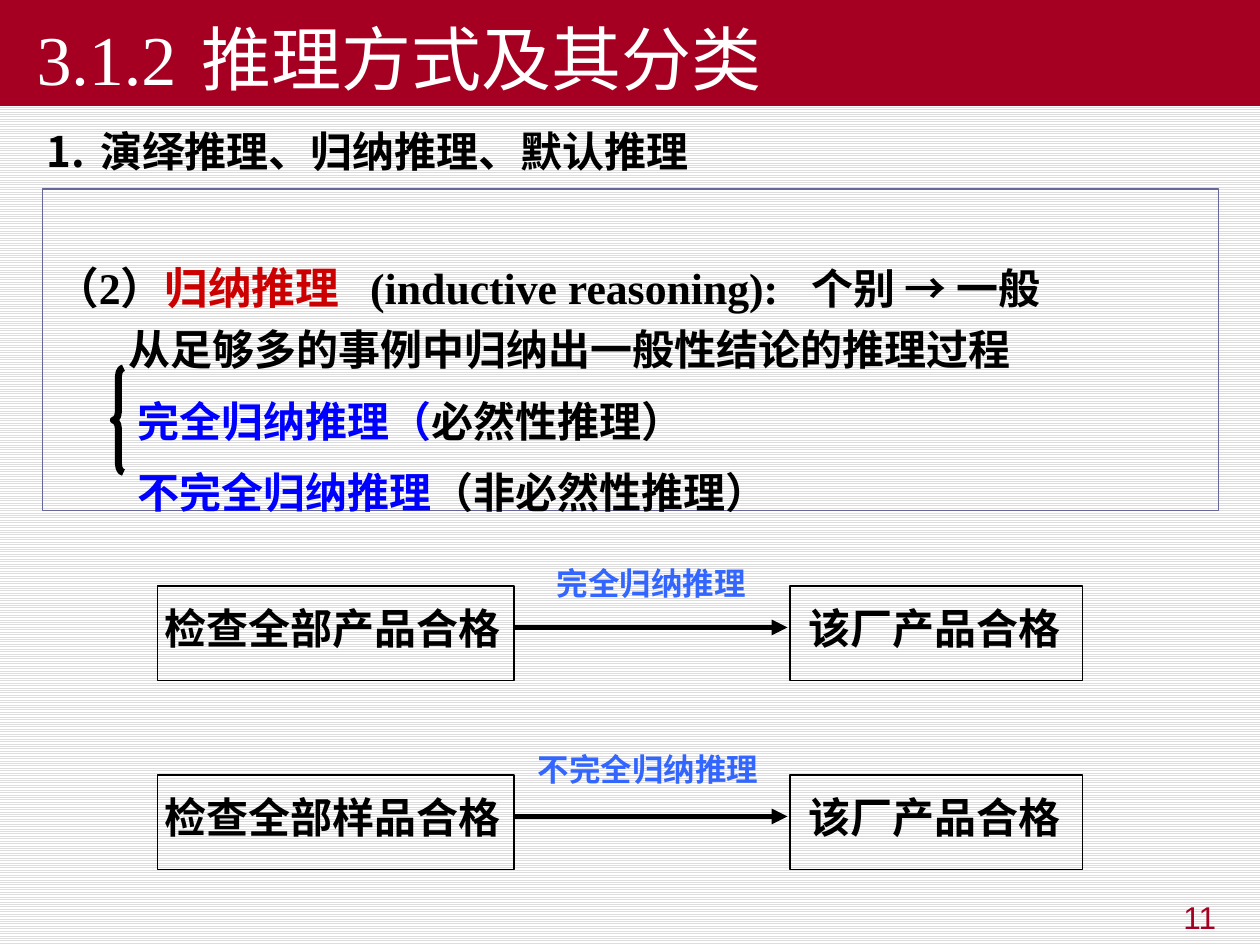
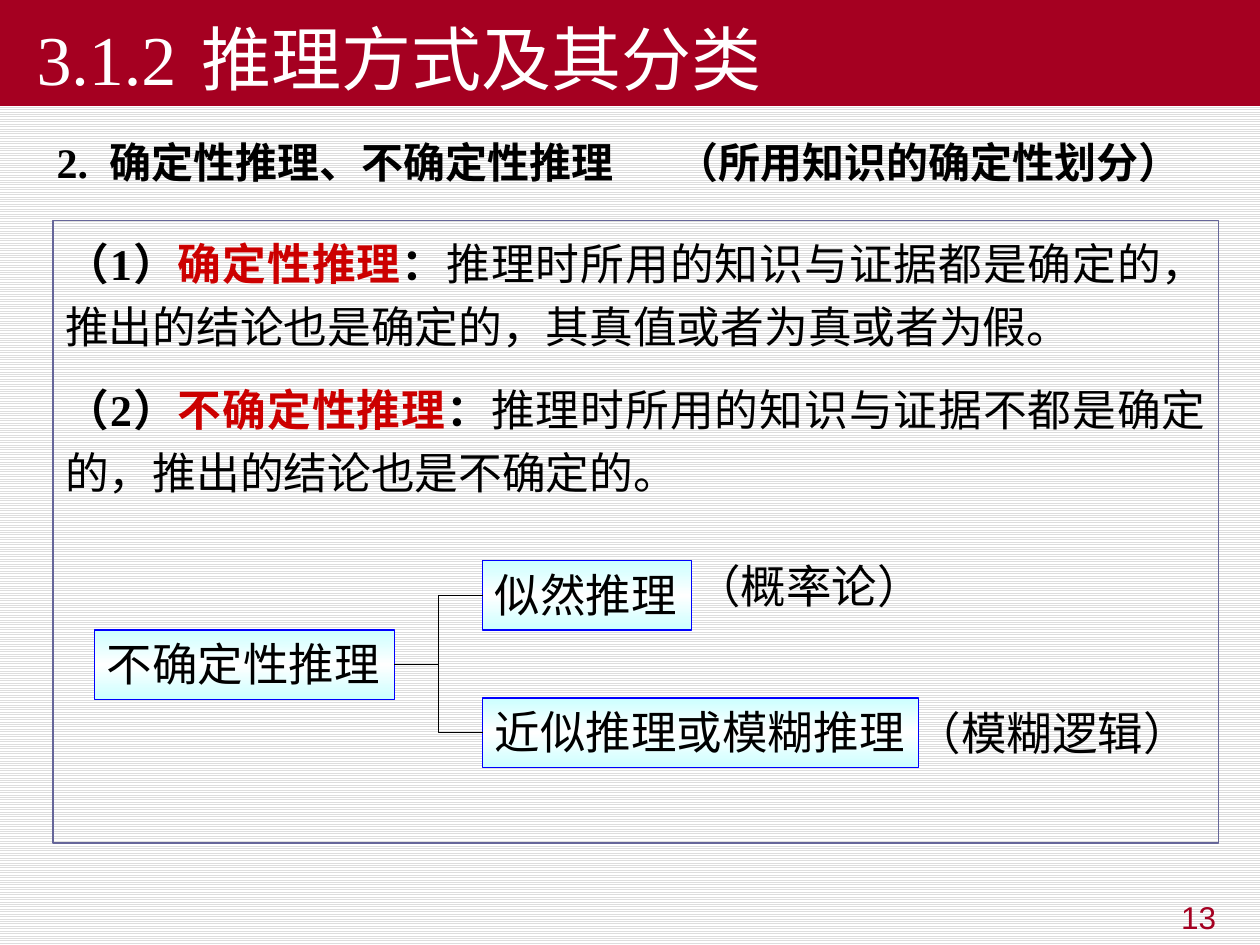
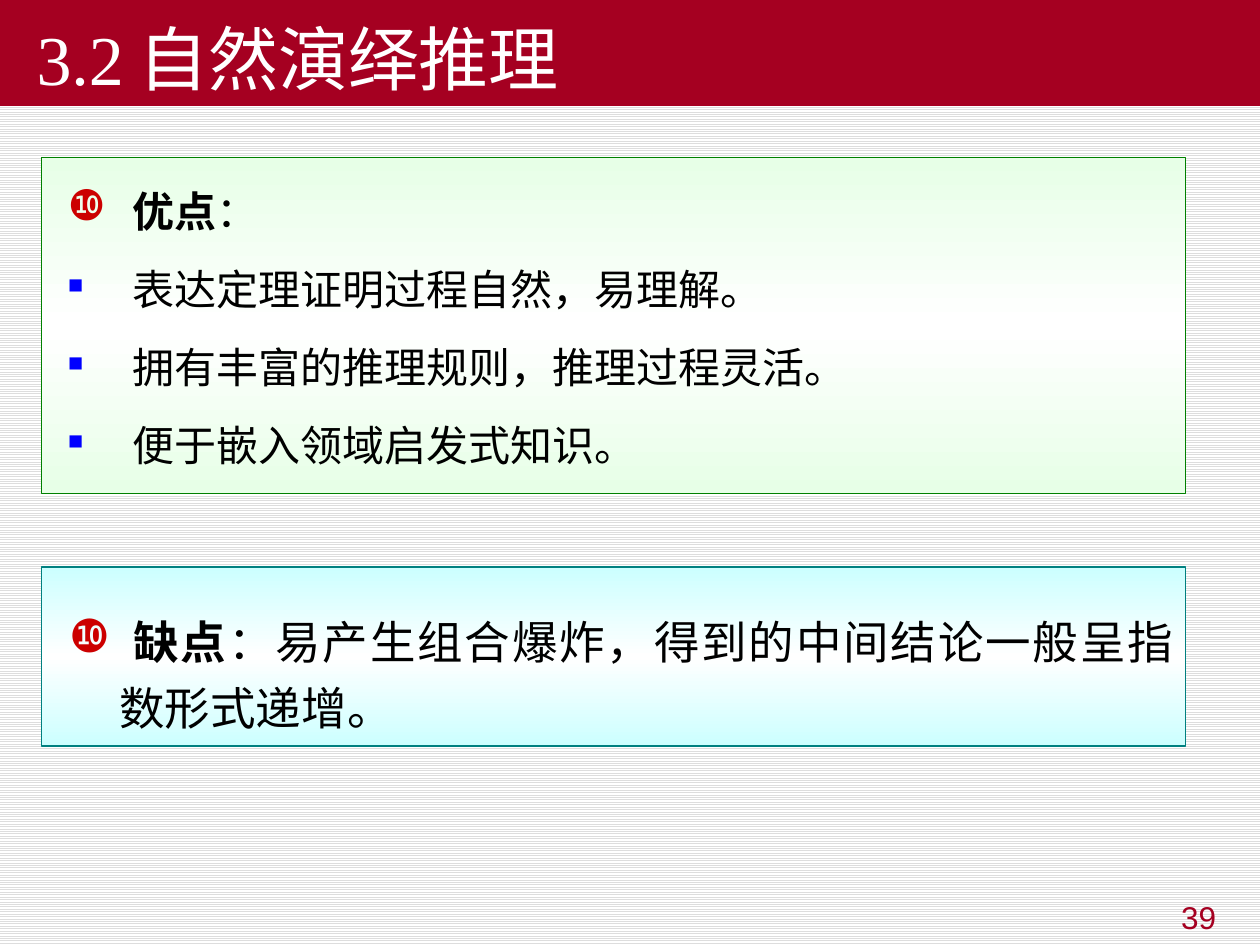
from copy import deepcopy
from dataclasses import dataclass
from typing import NamedTuple, Optional

from lxml.etree import SubElement
from pptx import Presentation
from pptx.dml.color import RGBColor
from pptx.enum.dml import MSO_PATTERN
from pptx.enum.shapes import MSO_CONNECTOR as Link, MSO_SHAPE as Form
from pptx.enum.text import MSO_ANCHOR as Anchor, MSO_AUTO_SIZE as Fit, PP_ALIGN as Align
from pptx.oxml.ns import qn
from pptx.util import Inches, Pt

BLACK = RGBColor(0x00, 0x00, 0x00)
WHITE = RGBColor(0xFF, 0xFF, 0xFF)
GREY = RGBColor(0xDD, 0xDD, 0xDD)
WINE = RGBColor(0xA5, 0x00, 0x21)
RED = RGBColor(0xCC, 0x00, 0x00)
BLUE = RGBColor(0x00, 0x00, 0xFF)
SKY = RGBColor(0x33, 0x66, 0xFF)
SLATE = RGBColor(0x66, 0x66, 0x99)
AQUA = RGBColor(0xCC, 0xFF, 0xFF)
TEAL = RGBColor(0x00, 0x80, 0x80)
MINT = RGBColor(0xE7, 0xFF, 0xE7)
GREEN = RGBColor(0x00, 0x80, 0x00)

SANS = "Arial"
SERIF = "Times New Roman"


class Box(NamedTuple):
    left: float
    top: float
    width: float
    height: float


class Run(NamedTuple):
    text: str
    color: RGBColor = BLACK
    bold: bool = False
    size: float = 24
    font: str = SERIF


class Mark(NamedTuple):
    sign: str
    color: RGBColor
    scale: int = 100


@dataclass
class Para:
    runs: list[Run]
    align: Align = Align.LEFT
    space: float = 1.0
    before: float = 0
    left: float = 0
    first: float = 0
    mark: Optional[Mark] = None
    tabs: tuple[float, ...] = ()


class Flow(NamedTuple):
    top: float
    source: str
    label: str
    place: Box


def inch(box: Box) -> list[int]:
    return [Inches(part) for part in box]


def add_mark(props, mark: Mark) -> None:
    tone = SubElement(props, qn("a:buClr"))
    SubElement(tone, qn("a:srgbClr"), val=str(mark.color))
    SubElement(props, qn("a:buSzPct"), val=str(mark.scale * 1000))
    if mark.sign == "1.":
        SubElement(props, qn("a:buAutoNum"), type="arabicPeriod")
    else:
        SubElement(props, qn("a:buChar"), char=mark.sign)


def write(shape, paras: list[Para], anchor: Anchor = Anchor.TOP, wrap: bool = True) -> None:
    frame = shape.text_frame
    frame.word_wrap = wrap
    frame.auto_size = Fit.NONE
    frame.vertical_anchor = anchor
    for index, para in enumerate(paras):
        line = frame.add_paragraph() if index else frame.paragraphs[0]
        line.alignment = para.align
        line.line_spacing = para.space
        line.space_before = Pt(para.before)
        props = line._p.get_or_add_pPr()
        props.set("marL", str(Inches(para.left)))
        props.set("indent", str(Inches(para.first)))
        if para.mark:
            add_mark(props, para.mark)
        if para.tabs:
            stops = SubElement(props, qn("a:tabLst"))
            for stop in para.tabs:
                SubElement(stops, qn("a:tab"), pos=str(Inches(stop)), algn="l")
        for item in para.runs:
            run = line.add_run()
            run.text = item.text
            run.font.name = item.font
            run.font.size = Pt(item.size)
            run.font.bold = item.bold
            run.font.color.rgb = item.color


def add_text(slide, box: Box, paras: list[Para], wrap: bool = True):
    shape = slide.shapes.add_textbox(*inch(box))
    write(shape, paras, wrap=wrap)
    return shape


def add_form(slide, box: Box, line: RGBColor, fade: Optional[RGBColor] = None,
             form: Form = Form.RECTANGLE, weight: float = 0.75):
    shape = slide.shapes.add_shape(form, *inch(box))
    shape.shadow.inherit = False
    shape.line.color.rgb = line
    shape.line.width = Pt(weight)
    if fade is None:
        shape.fill.background()
        return shape
    shape.fill.gradient()
    shape.fill.gradient_angle = 90
    stops = shape._element.spPr.find(qn("a:gradFill")).find(qn("a:gsLst"))
    stops.append(deepcopy(stops[0]))
    for stop, color, place in zip(shape.fill.gradient_stops, (fade, WHITE, fade), (0, 0.5, 1)):
        stop.color.rgb = color
        stop.position = place
    return shape


def add_link(slide, kind: Link, start: tuple[float, float], end: tuple[float, float], weight: float):
    link = slide.shapes.add_connector(kind, *(Inches(part) for part in start + end))
    link.line.color.rgb = BLACK
    link.line.width = Pt(weight)
    SubElement(link._element.spPr, qn("a:effectLst"))
    return link


def add_arrow(slide, start: tuple[float, float], end: tuple[float, float]) -> None:
    link = add_link(slide, Link.STRAIGHT, start, end, 3)
    SubElement(link.line._get_or_add_ln(), qn("a:tailEnd"), type="triangle")


def add_slide(deck, title: str, tab: float, page: str):
    slide = deck.slides.add_slide(deck.slide_layouts[5])
    head = slide.shapes.title
    head.left, head.top, head.width, head.height = inch(Box(0, 0, 10, 0.84))
    head.fill.solid()
    head.fill.fore_color.rgb = WINE
    write(head, [Para([Run(title, WHITE, size=40)], first=0.19, tabs=(tab,))], Anchor.BOTTOM)
    add_text(slide, Box(7.58, 7.08, 2.17, 0.39),
             [Para([Run(page, WINE, size=18, font=SANS)], Align.RIGHT)])
    return slide


def draw_kinds(deck) -> None:
    slide = add_slide(deck, "3.1.2\t推理方式及其分类", 1.7, "11")
    add_text(slide, Box(0.27, 0.99, 9.73, 0.42), [
        Para([Run("演绎推理、归纳推理、默认推理", bold=True)], space=0.9,
             left=0.43, first=-0.43, mark=Mark("1.", BLACK)),
    ])
    panel = add_form(slide, Box(0.34, 1.5, 9.33, 2.55), SLATE)
    write(panel, [
        Para([Run("（2）", bold=True, size=25),
              Run("归纳推理", RED, True, 25),
              Run("\t(inductive reasoning):\t", bold=True, size=25),
              Run("个别 → 一般", bold=True)], space=1.2, tabs=(2.56, 6.06)),
        Para([Run("从足够多的事例中归纳出一般性结论的推理过程", bold=True)], space=1.2, left=0.58),
        Para([Run("完全归纳推理（", BLUE, True), Run("必然性推理）", bold=True)],
             before=12, left=0.65),
        Para([Run("不完全归纳推理", BLUE, True), Run("（非必然性推理）", bold=True)],
             before=12, left=0.65),
    ])
    panel.text_frame.margin_top = Inches(0.49)
    brace = add_form(slide, Box(0.9, 2.92, 0.08, 0.83), BLACK, form=Form.LEFT_BRACE, weight=4)
    brace.adjustments[0] = 0.85
    brace.adjustments[1] = 0.5

    flows = [
        Flow(4.65, "检查全部产品合格", "完全归纳推理", Box(4.32, 4.43, 1.78, 0.4)),
        Flow(6.15, "检查全部样品合格", "不完全归纳推理", Box(4.17, 5.9, 2.1, 0.4)),
    ]
    for flow in flows:
        ends = [(1.25, 2.83, 1.21, 3.02, flow.source), (6.27, 2.32, 6.32, 2.35, "该厂产品合格")]
        for left, width, inset, span, text in ends:
            add_form(slide, Box(left, flow.top, width, 0.75), BLACK)
            add_text(slide, Box(inset, flow.top + 0.08, span, 0.5),
                     [Para([Run(text, bold=True, font=SANS)])])
        level = flow.top + 0.33
        add_arrow(slide, (4.08, level), (6.25, level))
        add_text(slide, flow.place, [Para([Run(flow.label, SKY, True, 18, SANS)])])


def draw_doubt(deck) -> None:
    slide = add_slide(deck, "3.1.2\t推理方式及其分类", 1.7, "13")
    add_text(slide, Box(0.27, 1.08, 9.45, 0.59), [
        Para([Run("2.\t确定性推理、不确定性推理\t（所用知识的确定性划分）", bold=True)],
             space=0.9, first=0.08, tabs=(0.58, 4.83)),
    ])
    terms = [
        ("不确定性推理", Box(0.75, 5, 2.38, 0.55)),
        ("似然推理", Box(3.83, 4.45, 1.66, 0.55)),
        ("近似推理或模糊推理", Box(3.83, 5.54, 3.46, 0.55)),
    ]
    nodes = []
    for text, box in terms:
        node = add_form(slide, box, BLUE, AQUA)
        write(node, [Para([Run(text, size=26, font=SANS)])], wrap=False)
        nodes.append(node)
    root, *leaves = nodes
    for leaf in leaves:
        link = add_link(slide, Link.ELBOW, (0, 0), (1, 1), 0.75)
        link.begin_connect(root, 3)
        link.end_connect(leaf, 1)
    notes = [("（概率论）", Box(5.42, 4.38, 2.01, 0.53)), ("（模糊逻辑）", Box(7.17, 5.55, 2.37, 0.53))]
    for text, box in notes:
        add_text(slide, box, [Para([Run(text, size=26, font=SANS)])], wrap=False)

    facts = [
        ("（1）", "确定性推理",
         "推理时所用的知识与证据都是确定的，推出的结论也是确定的，其真值或者为真或者为假。"),
        ("（2）", "不确定性推理",
         "推理时所用的知识与证据不都是确定的，推出的结论也是不确定的。"),
    ]
    panel = add_form(slide, Box(0.42, 1.75, 9.25, 4.94), SLATE)
    write(panel, [
        Para([Run(number, bold=True, size=25), Run(term, RED, True, 25),
              Run("：", bold=True, size=25), Run(text, size=25)],
             Align.JUSTIFY, 1.2, 11.5)
        for number, term, text in facts
    ])


def draw_merits(deck) -> None:
    slide = add_slide(deck, "3.2\t自然演绎推理", 1.28, "39")
    add_form(slide, Box(0.33, 1.25, 9.08, 2.67), GREEN, MINT)
    disc = Mark("❿", RED)
    square = Mark("■", BLUE, 50)
    rows = [(disc, [Run("优点", bold=True, font=SANS), Run("：", font=SANS)])]
    rows += [(square, [Run(text, font=SANS)]) for text in (
        "表达定理证明过程自然，易理解。",
        "拥有丰富的推理规则，推理过程灵活。",
        "便于嵌入领域启发式知识。",
    )]
    add_text(slide, Box(0.44, 1.34, 8.89, 2.32), [
        Para(runs, space=1.2, before=10, left=0.51, first=-0.51, mark=mark)
        for mark, runs in rows
    ])
    add_form(slide, Box(0.33, 4.5, 9.08, 1.42), TEAL, AQUA)
    add_text(slide, Box(0.45, 4.74, 8.97, 1.14), [
        Para([Run(" 缺点", bold=True, size=26, font=SANS),
              Run("：易产生组合爆炸，得到的中间结论一般呈指数形式递增。", size=26, font=SANS)],
             Align.JUSTIFY, 1.2, 20, 0.4, -0.4, disc),
    ])


def main() -> None:
    deck = Presentation()
    deck.slide_width = Inches(10)
    deck.slide_height = Inches(7.5)
    back = deck.slide_master.background.fill
    back.patterned()
    back.pattern = MSO_PATTERN.LIGHT_HORIZONTAL
    back.fore_color.rgb = GREY
    back.back_color.rgb = WHITE
    for draw in (draw_kinds, draw_doubt, draw_merits):
        draw(deck)
    deck.save("out.pptx")


if __name__ == "__main__":
    main()
